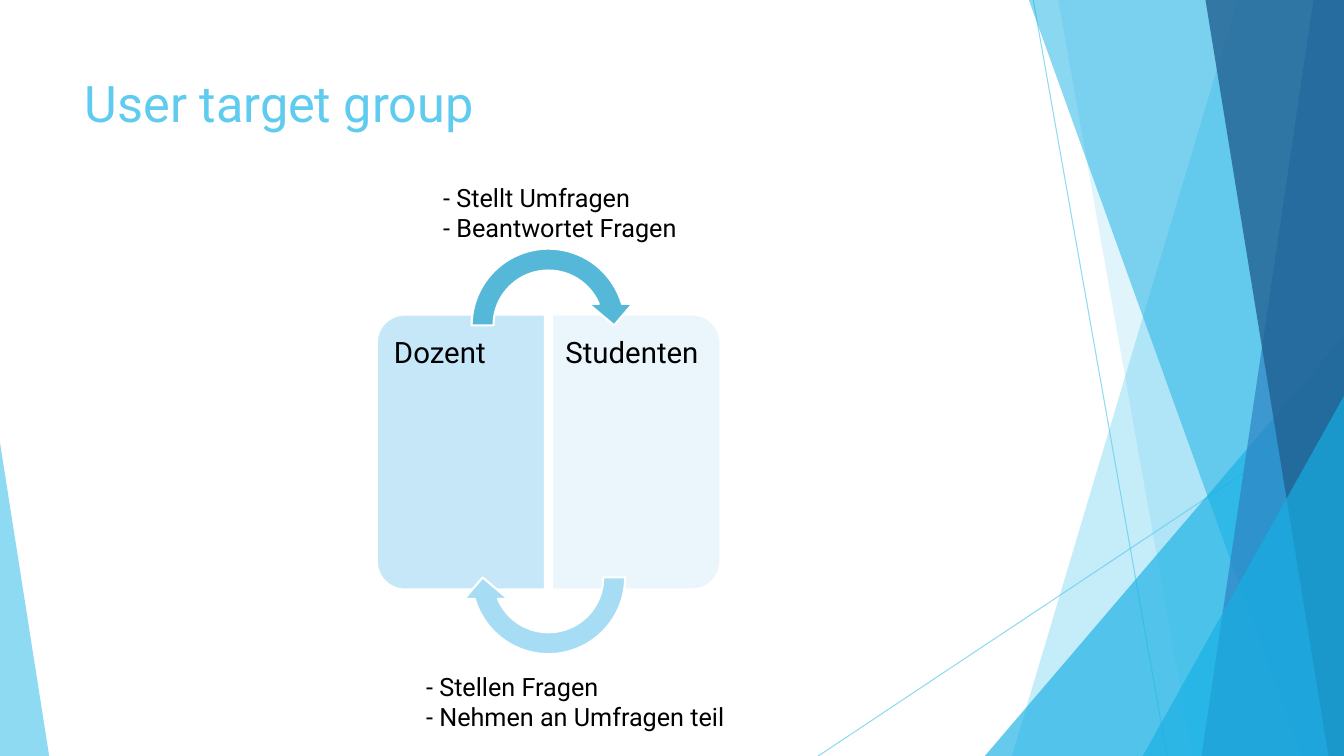
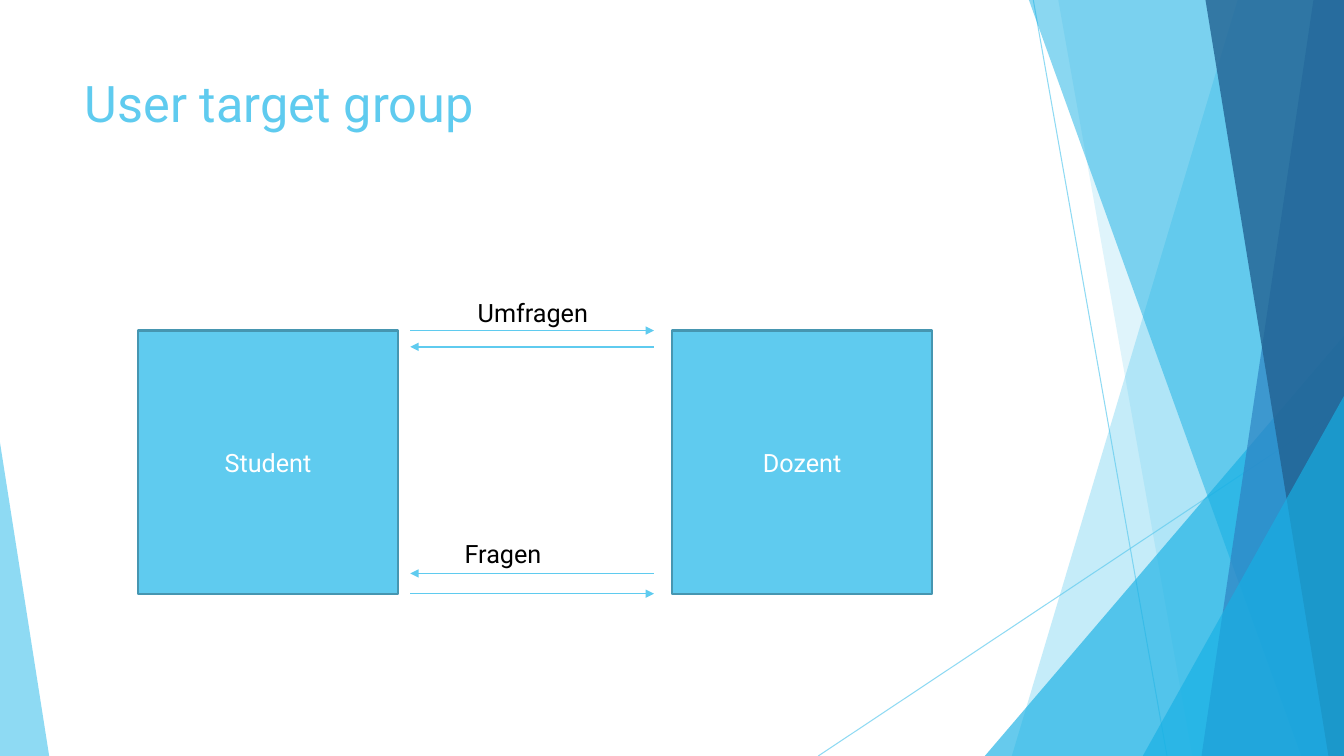
import lxml.etree
import pptx
import pptx.util
import pptx.dml.color
import pptx.enum.shapes
import pptx.enum.text
import pptx.oxml.ns

Cm, Pt = pptx.util.Cm, pptx.util.Pt
RGBColor = pptx.dml.color.RGBColor
MSO_SHAPE = pptx.enum.shapes.MSO_SHAPE
PP_ALIGN = pptx.enum.text.PP_ALIGN
MSO_ANCHOR = pptx.enum.text.MSO_ANCHOR
qn = pptx.oxml.ns.qn

SKY = RGBColor(0x5F, 0xCB, 0xEF)
CYAN = RGBColor(0x17, 0xB0, 0xE4)
BLUE = RGBColor(0x2E, 0x83, 0xC3)
NAVY = RGBColor(0x22, 0x62, 0x92)
STEEL = RGBColor(0x46, 0x96, 0xB1)
TEAL = RGBColor(0x56, 0xB8, 0xD9)
PALE = RGBColor(0xA7, 0xDD, 0xF4)
ICE = RGBColor(0xC5, 0xE7, 0xF7)
FROST = RGBColor(0xEA, 0xF6, 0xFC)
WHITE = RGBColor(0xFF, 0xFF, 0xFF)
BLACK = RGBColor(0, 0, 0)
FONT = "Roboto"
WIDTH, HEIGHT = 33.87, 19.05


def write(frame, lines, size, colour, align=PP_ALIGN.LEFT):
    for index, line in enumerate(lines):
        paragraph = frame.add_paragraph() if index else frame.paragraphs[0]
        paragraph.alignment = align
        run = paragraph.add_run()
        run.text = line
        run.font.name = FONT
        run.font.size = Pt(size)
        run.font.color.rgb = colour


def draw_line(slide, start, end, width):
    line = slide.shapes.add_connector(
        pptx.enum.shapes.MSO_CONNECTOR.STRAIGHT,
        Cm(start[0]), Cm(start[1]), Cm(end[0]), Cm(end[1]))
    line.line.color.rgb = SKY
    line.line.width = Pt(width)
    lxml.etree.SubElement(line.element.spPr, qn("a:effectLst"))
    return line


deck = pptx.Presentation()
deck.slide_width, deck.slide_height = Cm(WIDTH), Cm(HEIGHT)
layout = deck.slide_layouts[5]
roles_slide, exchange_slide = [deck.slides.add_slide(layout) for _ in range(2)]

# Shared backdrop: thin lines, then facets from back to front
backdrop = [
    (draw_line(roles_slide, (26.04, 0), (29.41, HEIGHT), 0.75), 70),
    (draw_line(roles_slide, (WIDTH, 10.24), (20.62, HEIGHT), 0.75), 70),
]
# Bands run to the right edge: (top x, bottom x); corners: (left, top, width, apex)
facets = [
    ("band", (31.19, 25.5), SKY, 36),
    ("band", (26.67, 30.05), SKY, 20),
    ("corner", (24.82, 8.46, 9.05, 1), CYAN, 66),
    ("band", (25.93, 32.79), CYAN, 50),
    ("band", (33.1, 30.28), BLUE, 70),
    ("band", (30.38, 33.48), NAVY, 80),
    ("corner", (28.8, 9.98, 5.07, 1), CYAN, 66),
    ("corner", (0, 11.15, 1.24, 0), SKY, 70),
]
for kind, place, colour, opacity in facets:
    if kind == "band":
        top_x, bottom_x = place
        outline = roles_slide.shapes.build_freeform(Cm(top_x), Cm(0))
        outline.add_line_segments([
            (Cm(WIDTH), Cm(0)), (Cm(WIDTH), Cm(HEIGHT)), (Cm(bottom_x), Cm(HEIGHT))])
        facet = outline.convert_to_shape()
    else:
        left, top, width, apex = place
        facet = roles_slide.shapes.add_shape(
            MSO_SHAPE.ISOSCELES_TRIANGLE, Cm(left), Cm(top), Cm(width), Cm(HEIGHT - top))
        facet.adjustments[0] = apex
    facet.shadow.inherit = False
    facet.fill.solid()
    facet.fill.fore_color.rgb = colour
    facet.line.fill.background()
    backdrop.append((facet, opacity))

# Set the opacity and move the backdrop behind the layout's placeholders
for position, (part, opacity) in enumerate(backdrop, start=2):
    for colour_node in part.element.spPr.iter(qn("a:srgbClr")):
        alpha = lxml.etree.SubElement(colour_node, qn("a:alpha"))
        alpha.set("val", str(opacity * 1000))
    layout.shapes.element.insert(position, part.element)

# Titles
for slide in (roles_slide, exchange_slide):
    title = slide.shapes.title
    title.left, title.top = Cm(1.88), Cm(1.7)
    title.width, title.height = Cm(23.88), Cm(3.66)
    title.text_frame.vertical_anchor = MSO_ANCHOR.TOP
    title.text_frame.auto_size = pptx.enum.text.MSO_AUTO_SIZE.NONE
    write(title.text_frame, ["User target group"], 36, SKY)

# Slide 1: the two roles side by side
roles = [
    ("Dozent", 8.15, 270, ICE, 9.7, 0.23, 0.33),
    ("Studenten", 12.57, 90, FROST, 13.92, 0.33, 0.23),
]
for role, left, turn, colour, text_left, inset_left, inset_right in roles:
    panel = roles_slide.shapes.add_shape(
        MSO_SHAPE.ROUND_2_SAME_RECTANGLE, Cm(left), Cm(9.27), Cm(6.93), Cm(4.24))
    panel.adjustments[0], panel.adjustments[1] = 0.167, 0
    panel.rotation = turn
    panel.shadow.inherit = False
    panel.fill.solid()
    panel.fill.fore_color.rgb = colour
    panel.line.color.rgb = WHITE
    panel.line.width = Pt(1.5)

    heading = roles_slide.shapes.add_textbox(Cm(text_left), Cm(8.13), Cm(4.04), Cm(6.53))
    frame = heading.text_frame
    frame.word_wrap = True
    frame.margin_left, frame.margin_right = Cm(inset_left), Cm(inset_right)
    frame.margin_top = frame.margin_bottom = Cm(0.38)
    write(frame, [role], 21, BLACK)
    frame.paragraphs[0].line_spacing = 0.9

# Slide 1: circular arrows between the roles
for top, turn, colour in [(5.99, 0, TEAL), (12.34, 180, PALE)]:
    cycle = roles_slide.shapes.add_shape(
        MSO_SHAPE.CIRCULAR_ARROW, Cm(11.61), Cm(top), Cm(4.42), Cm(4.42))
    for index, value in enumerate([0.125, 11.423, 204.577, 108, 0.125]):
        cycle.adjustments[index] = value
    cycle.rotation = turn
    cycle.shadow.inherit = False
    cycle.fill.solid()
    cycle.fill.fore_color.rgb = colour
    cycle.line.color.rgb = WHITE
    cycle.line.width = Pt(1.5)

# Slide 2: the two parties
for party, left in [("Student", 3.48), ("Dozent", 16.94)]:
    box = exchange_slide.shapes.add_shape(
        MSO_SHAPE.RECTANGLE, Cm(left), Cm(8.33), Cm(6.55), Cm(6.63))
    box.shadow.inherit = False
    box.fill.solid()
    box.fill.fore_color.rgb = SKY
    box.line.color.rgb = STEEL
    box.line.width = Pt(1.5)
    box.text_frame.vertical_anchor = MSO_ANCHOR.MIDDLE
    write(box.text_frame, [party], 18, WHITE, PP_ALIGN.CENTER)

# Slide 2: arrows both ways
student_side, dozent_side = 10.34, 16.48
for y, start, end in [
    (8.33, student_side, dozent_side),
    (14.96, student_side, dozent_side),
    (8.74, dozent_side, student_side),
    (14.45, dozent_side, student_side),
]:
    arrow = draw_line(exchange_slide, (start, y), (end, y), 1)
    head = lxml.etree.SubElement(arrow.element.spPr.find(qn("a:ln")), qn("a:tailEnd"))
    head.set("type", "triangle")

# Captions beside the arrows on both slides
captions = [
    (roles_slide, ["- Stellt Umfragen", "- Beantwortet Fragen"], 10.92, 4.47, 6.65, 1.8),
    (roles_slide, ["- Stellen Fragen", "- Nehmen an Umfragen teil"], 10.49, 16.79, 8.33, 1.8),
    (exchange_slide, ["Umfragen"], 11.79, 7.37, 3.3, 1.02),
    (exchange_slide, ["Fragen"], 11.46, 13.44, 2.46, 1.02),
]
for slide, lines, left, top, width, height in captions:
    caption = slide.shapes.add_textbox(Cm(left), Cm(top), Cm(width), Cm(height))
    caption.text_frame.word_wrap = False
    caption.text_frame.auto_size = pptx.enum.text.MSO_AUTO_SIZE.SHAPE_TO_FIT_TEXT
    write(caption.text_frame, lines, 18, BLACK)

deck.save("out.pptx")
